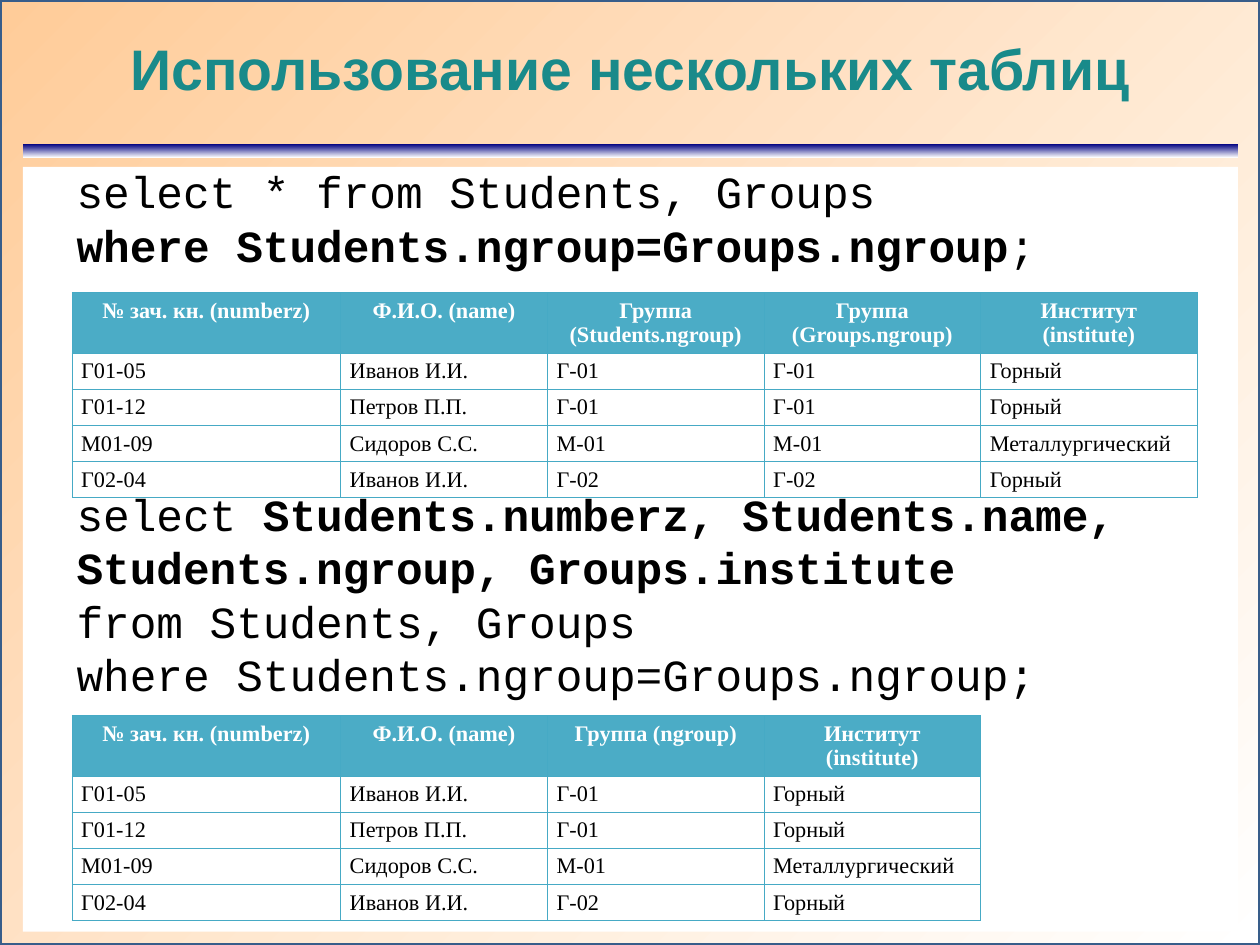
from dataclasses import dataclass

from lxml import etree
from pptx import Presentation
from pptx.dml.color import RGBColor
from pptx.enum.shapes import MSO_SHAPE
from pptx.enum.text import MSO_ANCHOR, PP_ALIGN
from pptx.oxml.ns import qn
from pptx.util import Inches, Pt

RECTANGLE = MSO_SHAPE.RECTANGLE
LEFT, CENTER, JUSTIFY = PP_ALIGN.LEFT, PP_ALIGN.CENTER, PP_ALIGN.JUSTIFY
MIDDLE, TOP = MSO_ANCHOR.MIDDLE, MSO_ANCHOR.TOP

# The slide is 28 by 21 centimetres.
SLIDE_WIDTH, SLIDE_HEIGHT = 28 / 2.54, 21 / 2.54
MARGIN, CONTENT_WIDTH = 0.2, 10.63
TABLE_LEFT = 0.63
HEADER_HEIGHT, ROW_HEIGHT = 0.53, 0.31
NUMBER_WIDTH, NAME_WIDTH = 2.35, 1.81
OTHER_WIDTH = (7.95 - NUMBER_WIDTH - NAME_WIDTH) / 2

WHITE, BLACK, PEACH, NAVY = "FFFFFF", "000000", "FFCC99", "000080"
TITLE_TEAL, HEADER_BLUE, BORDER_BLUE, FRAME_BLUE = "198A8A", "4BACC6", "46AAC5", "385D8A"


@dataclass
class QueryResult:
    top: float
    headers: list[str]
    rows: list[tuple[str, ...]]


@dataclass
class QueryParagraph:
    runs: list[tuple[str, bool]]
    space_before: float = 0


STUDENTS = [
    ("Г01-05", "Иванов И.И.", "Г-01", "Горный"),
    ("Г01-12", "Петров П.П.", "Г-01", "Горный"),
    ("М01-09", "Сидоров С.С.", "М-01", "Металлургический"),
    ("Г02-04", "Иванов И.И.", "Г-02", "Горный"),
]
STUDENT_HEADERS = ["№ зач. кн. (numberz)", "Ф.И.О. (name)"]
INSTITUTE_HEADER = "Институт\n(institute)"

RESULTS = [
    QueryResult(
        2.56,
        STUDENT_HEADERS
        + ["Группа\n(Students.ngroup)", "Группа\n(Groups.ngroup)", INSTITUTE_HEADER],
        [(number, name, group, group, institute) for number, name, group, institute in STUDENTS],
    ),
    QueryResult(6.26, STUDENT_HEADERS + ["Группа (ngroup)", INSTITUTE_HEADER], STUDENTS),
]

QUERIES = [
    QueryParagraph([
        ("select * from Students, Groups\n", False),
        ("where Students.ngroup=Groups.ngroup", True),
        (";", False),
    ]),
    QueryParagraph([
        ("select ", False),
        ("Students.numberz, Students.name, Students.ngroup, Groups.institute", True),
    ], space_before=136),
    QueryParagraph([("from Students, Groups", False)]),
    QueryParagraph([("where Students.ngroup=Groups.ngroup;", False)]),
]


def color(value: str) -> RGBColor:
    return RGBColor.from_string(value)


def add_text(paragraph, text: str, *, font: str, size: float, fill: str = BLACK,
             bold: bool = False, align=LEFT, line_height: float | None = None) -> None:
    """Append text to a paragraph, turning newlines into line breaks."""
    paragraph.alignment = align
    if line_height:
        paragraph.line_spacing = Pt(line_height)
    for index, line in enumerate(text.split("\n")):
        if index:
            paragraph.add_line_break()
        if line:
            run = paragraph.add_run()
            run.text = line
            run.font.name = font
            run.font.size = Pt(size)
            run.font.bold = bold
            run.font.color.rgb = color(fill)


def set_margins(target, left: float, top: float, right: float, bottom: float) -> None:
    target.margin_left, target.margin_top = Inches(left), Inches(top)
    target.margin_right, target.margin_bottom = Inches(right), Inches(bottom)


def add_rectangle(slide, left: float, top: float, width: float, height: float):
    shape = slide.shapes.add_shape(
        RECTANGLE, Inches(left), Inches(top), Inches(width), Inches(height))
    shape.shadow.inherit = False
    shape.line.fill.background()
    return shape


def fill_gradient(shape, start: str, end: str, clockwise_angle: float) -> None:
    shape.fill.gradient()
    shape.fill.gradient_angle = 360 - clockwise_angle
    for stop, value in zip(shape.fill.gradient_stops, (start, end)):
        stop.color.rgb = color(value)


def add_backdrop(slide) -> None:
    frame = add_rectangle(slide, 0, 0, SLIDE_WIDTH, SLIDE_HEIGHT)
    fill_gradient(frame, WHITE, PEACH, 225)
    frame.line.color.rgb = color(FRAME_BLUE)
    frame.line.width = Pt(2)
    divider = add_rectangle(slide, MARGIN, 1.26, CONTENT_WIDTH, 0.12)
    fill_gradient(divider, NAVY, WHITE, 90)


def format_title(slide, text: str) -> None:
    title = slide.shapes.title
    title.left, title.top = Inches(MARGIN), Inches(MARGIN)
    title.width, title.height = Inches(CONTENT_WIDTH), Inches(0.79)
    title.element.getparent().append(title.element)
    frame = title.text_frame
    frame.vertical_anchor = MIDDLE
    set_margins(frame, 0, 0, 0, 0)
    add_text(frame.paragraphs[0], text, font="Arial", size=36, fill=TITLE_TEAL,
             bold=True, align=CENTER)


def add_queries(slide, queries: list[QueryParagraph]) -> None:
    panel = add_rectangle(slide, MARGIN, 1.46, CONTENT_WIDTH, 6.69)
    panel.fill.solid()
    panel.fill.fore_color.rgb = color(WHITE)
    frame = panel.text_frame
    frame.word_wrap = True
    frame.vertical_anchor = TOP
    set_margins(frame, 0.47, -0.02, 0, 0)
    for index, query in enumerate(queries):
        paragraph = frame.add_paragraph() if index else frame.paragraphs[0]
        if query.space_before:
            paragraph.space_before = Pt(query.space_before)
        for text, bold in query.runs:
            add_text(paragraph, text, font="Courier New", size=28, bold=bold, line_height=33.6)


def add_borders(cell) -> None:
    properties = cell._tc.get_or_add_tcPr()
    for side in ("lnL", "lnR", "lnT", "lnB"):
        line = etree.SubElement(properties, qn(f"a:{side}"), w=str(Pt(0.34)))
        solid = etree.SubElement(line, qn("a:solidFill"))
        etree.SubElement(solid, qn("a:srgbClr"), val=BORDER_BLUE)


def format_cell(cell, text: str, *, is_header: bool, align) -> None:
    add_borders(cell)
    cell.fill.solid()
    cell.fill.fore_color.rgb = color(HEADER_BLUE if is_header else WHITE)
    set_margins(cell, 0.08, 0.05, 0.08, 0.05)
    add_text(cell.text_frame.paragraphs[0], text, font="Times New Roman", size=14,
             fill=WHITE if is_header else BLACK, bold=is_header, align=align, line_height=15.5)


def add_result(slide, result: QueryResult) -> None:
    lines = [result.headers, *result.rows]
    last_column = len(result.headers) - 1
    widths = [NUMBER_WIDTH, NAME_WIDTH] + [OTHER_WIDTH] * (last_column - 1)
    heights = [HEADER_HEIGHT] + [ROW_HEIGHT] * len(result.rows)
    table = slide.shapes.add_table(
        len(lines), len(widths), Inches(TABLE_LEFT), Inches(result.top),
        Inches(sum(widths)), Inches(sum(heights))).table
    table.horz_banding = False
    for column, width in zip(table.columns, widths):
        column.width = Inches(width)
    for row_index, (line, height) in enumerate(zip(lines, heights)):
        table.rows[row_index].height = Inches(height)
        for column_index, text in enumerate(line):
            body_align = JUSTIFY if column_index == last_column else LEFT
            format_cell(table.cell(row_index, column_index), text, is_header=row_index == 0,
                        align=body_align if row_index else CENTER)


def main() -> None:
    presentation = Presentation()
    presentation.slide_width = Inches(SLIDE_WIDTH)
    presentation.slide_height = Inches(SLIDE_HEIGHT)
    slide = presentation.slides.add_slide(presentation.slide_layouts.get_by_name("Title Only"))
    add_backdrop(slide)
    format_title(slide, "Использование нескольких таблиц")
    add_queries(slide, QUERIES)
    for result in RESULTS:
        add_result(slide, result)
    presentation.save("out.pptx")


if __name__ == "__main__":
    main()
